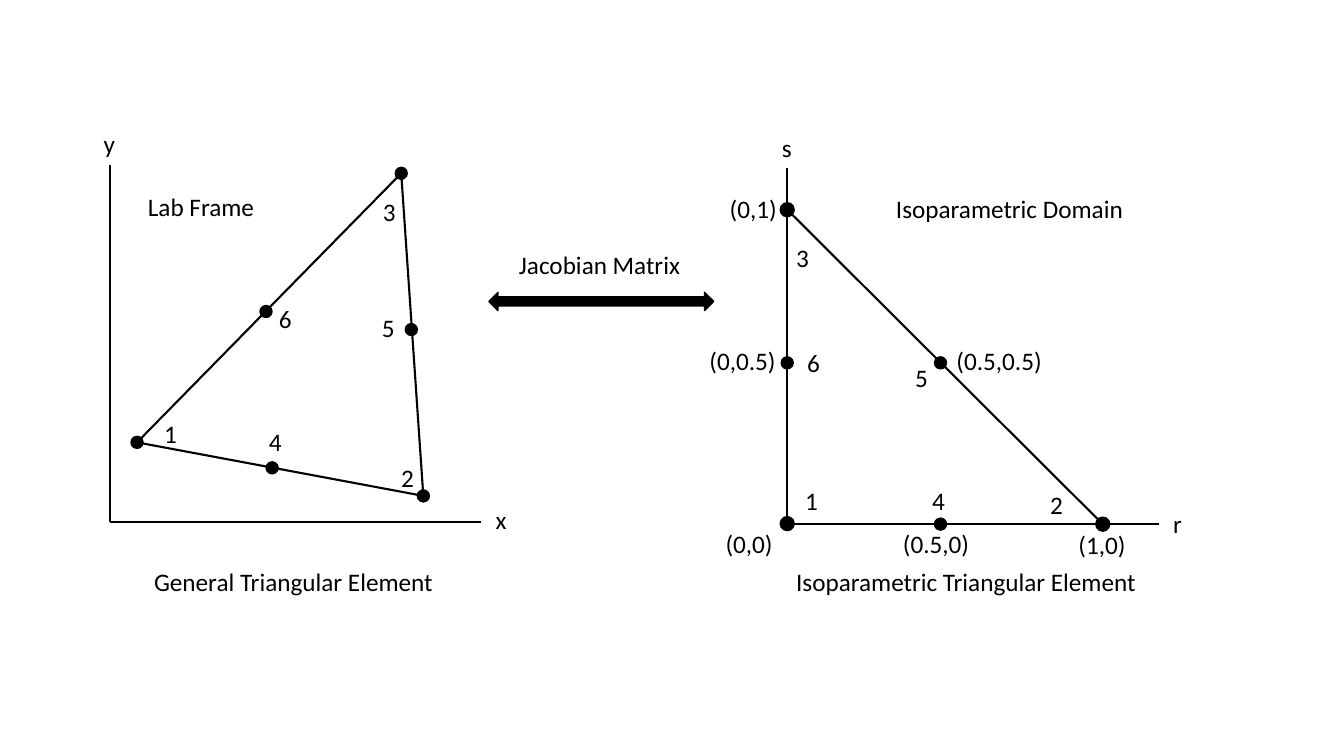
import pptx
import pptx.util
import pptx.dml.color
import pptx.enum.shapes
import pptx.enum.text
import lxml.etree

Pt = pptx.util.Pt
SHAPE = pptx.enum.shapes.MSO_SHAPE
COLORS = {"ink": "000000", "paper": "FFFFFF"}
INK = pptx.dml.color.RGBColor.from_string(COLORS["ink"])
LABEL_HEIGHT = 29
DIGIT_WIDTH = 23.7

deck = pptx.Presentation()
deck.slide_width, deck.slide_height = Pt(960), Pt(540)
slide = deck.slides.add_slide(deck.slide_layouts[6])
slide.background.fill.solid()
slide.background.fill.fore_color.rgb = pptx.dml.color.RGBColor.from_string(COLORS["paper"])


def add_label(text, left, top, width=DIGIT_WIDTH, size=18, font="Calibri"):
    label = slide.shapes.add_textbox(Pt(left), Pt(top), Pt(width), Pt(LABEL_HEIGHT))
    label.text_frame.word_wrap = False
    label.text_frame.auto_size = pptx.enum.text.MSO_AUTO_SIZE.SHAPE_TO_FIT_TEXT
    run = label.text_frame.paragraphs[0].add_run()
    run.text = text
    run.font.size, run.font.name = Pt(size), font
    run.font.color.rgb = INK


def add_solid(preset, left, top, width, height):
    solid = slide.shapes.add_shape(preset, Pt(left), Pt(top), Pt(width), Pt(height))
    solid.shadow.inherit = False
    solid.fill.solid()
    solid.fill.fore_color.rgb = INK
    solid.line.color.rgb = INK
    solid.line.width = Pt(1)


# Nodes 1 to 6 of each element: centre x, centre y, diameter
lab_nodes = [(97.9, 316, 8.6), (302.4, 354.2, 8.6), (286.6, 123.8, 8.6),
             (194.4, 334.2, 8.6), (293.8, 235.4, 8.6), (190, 222.5, 8.6)]
iso_nodes = [(562.3, 374, 10), (787.7, 374.4, 10), (562.3, 149.8, 10),
             (671.8, 374.4, 8.6), (671.8, 259.2, 8.6), (562.3, 259.2, 8.6)]

# Axes: start and end
edges = [((78.5, 118), (78.5, 373)), ((78.5, 373), (343.5, 373)),
         ((562.3, 120.2), (562.3, 374.4)), ((562.3, 374.4), (828, 374.4))]

# Triangle sides; the axes already carry the other two isoparametric sides
lab_corners = [node[:2] for node in lab_nodes[:3]]
edges += zip(lab_corners, lab_corners[1:] + lab_corners[:1])
edges.append((iso_nodes[2][:2], iso_nodes[1][:2]))

for start, end in edges:
    edge = slide.shapes.add_connector(
        pptx.enum.shapes.MSO_CONNECTOR.STRAIGHT, *map(Pt, start + end))
    edge.line.color.rgb = INK
    edge.line.width = Pt(1.5)
    lxml.etree.SubElement(edge.element.spPr, pptx.oxml.ns.qn("a:effectLst"))

for x, y, diameter in lab_nodes + iso_nodes:
    add_solid(SHAPE.OVAL, x - diameter / 2, y - diameter / 2, diameter, diameter)

# Node numbers: left and top, in node order
lab_numbers = [(110.2, 295.2), (279.4, 326.9), (266.4, 136.8),
               (185, 301), (265.7, 219.6), (192.2, 213.1)]
iso_numbers = [(568, 343.4), (743, 345.6), (561.6, 169.2),
               (658.8, 343.4), (646.6, 254.9), (569.5, 244.8)]
for numbers in (lab_numbers, iso_numbers):
    for number, (left, top) in enumerate(numbers, start=1):
        add_label(str(number), left, top)

# Isoparametric coordinates
for coordinates, left, top, width in [
        ("(0,0)", 511.2, 373.7, 49), ("(1,0)", 763.2, 374.4, 49),
        ("(0,1)", 514.1, 134.6, 49), ("(0.5,0)", 637.9, 373.7, 62.6),
        ("(0.5,0.5)", 676.1, 243.4, 76.3), ("(0,0.5)", 499.7, 243.4, 62.6)]:
    add_label(coordinates, left, top, width)

# Axis names
for axis, left, top, width in [
        ("x", 347, 356.4, 22.3), ("y", 67, 87.8, 23),
        ("r", 830.9, 359.3, 20.9), ("s", 551.5, 90.7, 21.6)]:
    add_label(axis, left, top, width)

# Frame titles and element captions
add_label("Lab Frame", 98.6, 133.2, 91.4)
add_label("Isoparametric Domain", 632.9, 134.6, 178.6)
add_label("General Triangular Element", 103, 401, 216)
add_label("Isoparametric Triangular Element", 561.6, 401, 260)

# Mapping between the two frames
add_label("Jacobian Matrix", 363.6, 174.2, 131)
add_solid(SHAPE.LEFT_RIGHT_ARROW, 349.2, 208.8, 160.6, 13)

deck.save("out.pptx")
